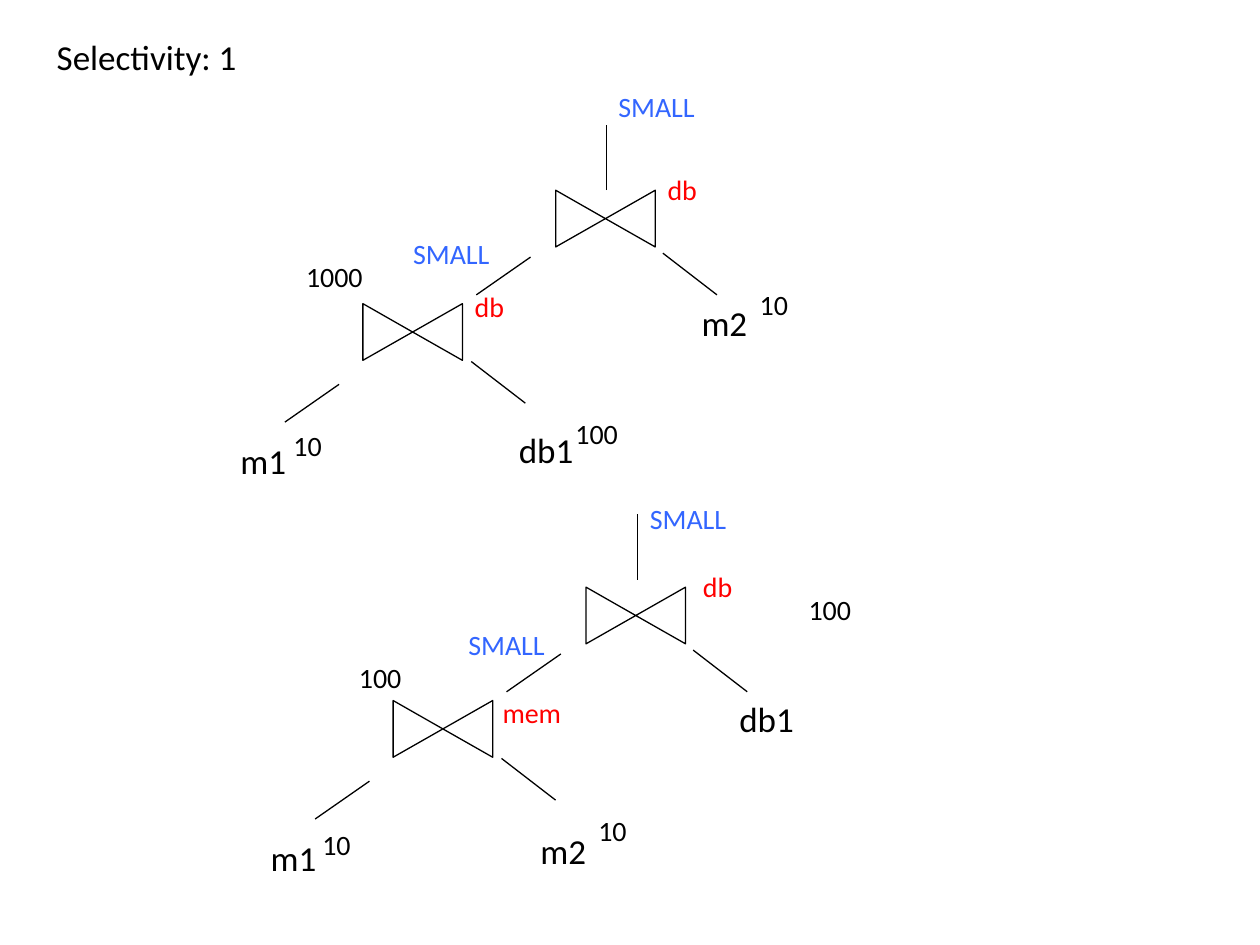
from lxml.etree import SubElement
from pptx import Presentation
from pptx.dml.color import RGBColor
from pptx.enum.shapes import MSO_CONNECTOR as Connector, MSO_SHAPE as Shape
from pptx.enum.text import MSO_ANCHOR as Anchor, MSO_AUTO_SIZE as AutoSize, PP_ALIGN as Align
from pptx.oxml.ns import qn
from pptx.util import Pt

FONT = "Calibri"
BLACK, WHITE, RED, BLUE = "000000", "FFFFFF", "FF0000", "3366FF"

TITLE = ("Selectivity: 1", 25.2, 16.6)

# Each tree: centre of its lower join, and the offset of its root line from the upper join
TREES = [((235.8, 189.7), (0.4, -16.2)), ((253.1, 416.5), (1, -20.5))]
UPPER_STEP = (110.2, -64.8)
JOIN_HEIGHT, JOIN_WIDTH = 32.4, 56.9
ROOT_LENGTH = 37.4

# Branch lines of each join, as offsets from its centre: (outer end, inner end)
LOWER_BRANCHES = [((-73, 51.5), (-42, 29.9)), ((64.4, 40.7), (33.5, 16.9))]
UPPER_BRANCHES = [((-73.8, 43.6), (-42.8, 22)), ((63.7, 43.6), (32.8, 19.8))]

# Label groups: size, colour, box width, box height, [(text, left, top)]
LABELS = [
    (20, BLACK, 73.4, 31.7, [  # relations
        ("m1", 130.3, 247.7), ("db1", 289.4, 241.2), ("m2", 393.8, 168.5),
        ("m1", 147.6, 474.5), ("db1", 415.4, 395.3), ("m2", 301.7, 470.2)]),
    (16, BLACK, 46, 26.6, [  # short row counts
        ("10", 160.6, 241.2), ("10", 427, 160.6), ("10", 334.8, 461.5),
        ("10", 177.1, 469.4), ("100", 198, 373.7)]),
    (16, BLACK, 74.2, 26.6, [  # long row counts
        ("100", 321.8, 234.7), ("1000", 167.8, 144.7), ("100", 455, 334.8)]),
    (16, RED, 74.2, 26.6, [  # where each join runs
        ("db", 264.2, 162), ("db", 374.4, 95),
        ("db", 394.6, 321.8), ("mem", 280.1, 393.8)]),
    (16, BLUE, 74.2, 26.6, [  # result sizes
        ("SMALL", 260.6, 355), ("SMALL", 364.3, 283),
        ("SMALL", 229, 131.8), ("SMALL", 346.3, 47.5)]),
]


def rgb(value):
    return RGBColor.from_string(value)


def shift(point, offset):
    return point[0] + offset[0], point[1] + offset[1]


def write(box, text, size, color):
    frame = box.text_frame
    frame.word_wrap = True
    frame.auto_size = AutoSize.SHAPE_TO_FIT_TEXT
    frame.vertical_anchor = Anchor.TOP
    para = frame.paragraphs[0]
    para.alignment = Align.LEFT
    span = para.add_run()
    span.text = text
    span.font.name = FONT
    span.font.size = Pt(size)
    span.font.color.rgb = rgb(color)


def add_line(slide, start, end):
    line = slide.shapes.add_connector(
        Connector.STRAIGHT, *(Pt(value) for value in (*start, *end)))
    line.line.color.rgb = rgb(BLACK)
    line.line.width = Pt(0.75)
    SubElement(line._element.spPr, qn("a:effectLst"))


def add_join(slide, centre, branches):
    """Draw a bow-tie join with its two branches."""
    left, top = shift(centre, (-JOIN_HEIGHT / 2, -JOIN_WIDTH / 2))
    join = slide.shapes.add_shape(
        Shape.FLOWCHART_COLLATE, Pt(left), Pt(top), Pt(JOIN_HEIGHT), Pt(JOIN_WIDTH))
    join.rotation = 270
    join.shadow.inherit = False
    join.fill.solid()
    join.fill.fore_color.rgb = rgb(WHITE)
    join.line.color.rgb = rgb(BLACK)
    join.line.width = Pt(0.75)
    for outer, inner in branches:
        add_line(slide, shift(centre, outer), shift(centre, inner))


def main():
    deck = Presentation()
    deck.slide_width, deck.slide_height = Pt(720), Pt(540)
    slide = deck.slides.add_slide(deck.slide_layouts[5])

    text, left, top = TITLE
    title = slide.shapes.title
    title.left, title.top, title.width, title.height = Pt(left), Pt(top), Pt(134), Pt(31.7)
    write(title, text, 20, BLACK)

    for lower, root_offset in TREES:
        upper = shift(lower, UPPER_STEP)
        add_join(slide, lower, LOWER_BRANCHES)
        add_join(slide, upper, UPPER_BRANCHES)
        root = shift(upper, root_offset)
        add_line(slide, root, shift(root, (0, -ROOT_LENGTH)))

    for size, color, width, height, labels in LABELS:
        for text, left, top in labels:
            box = slide.shapes.add_textbox(Pt(left), Pt(top), Pt(width), Pt(height))
            write(box, text, size, color)

    deck.save("out.pptx")


if __name__ == "__main__":
    main()
